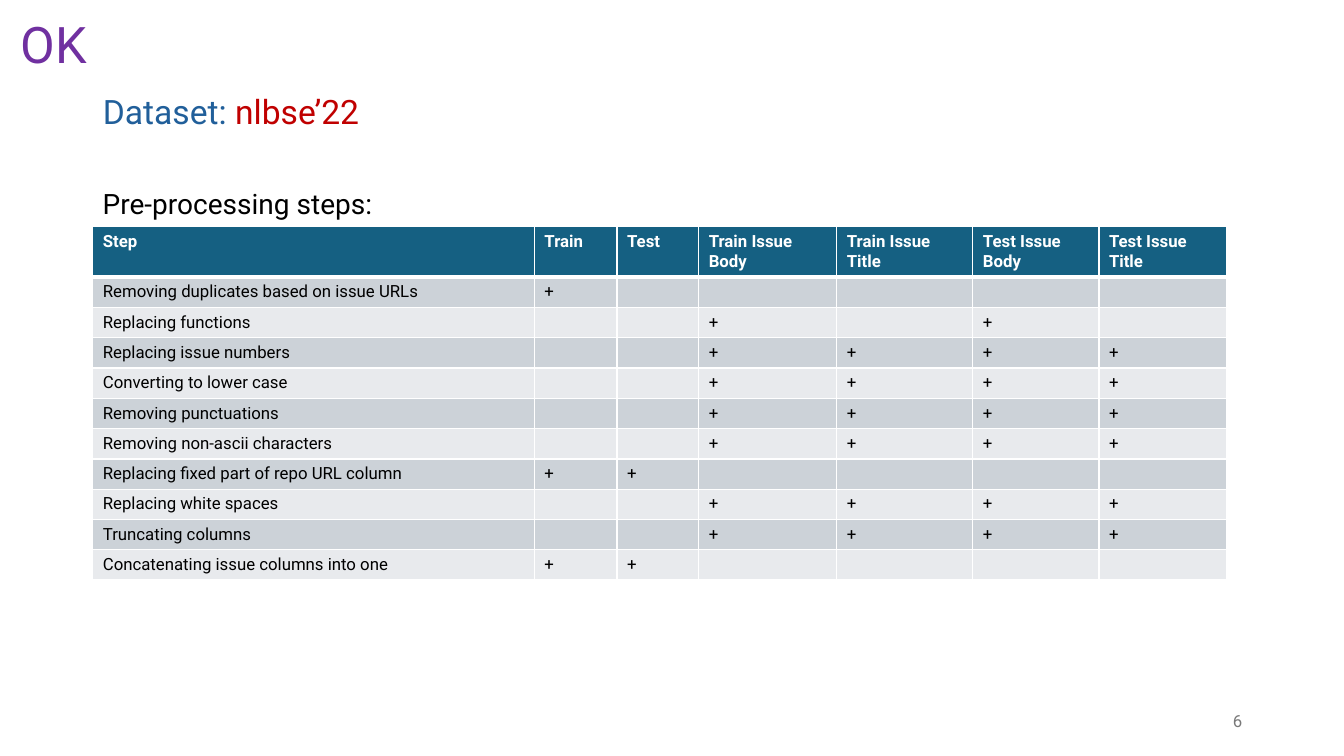
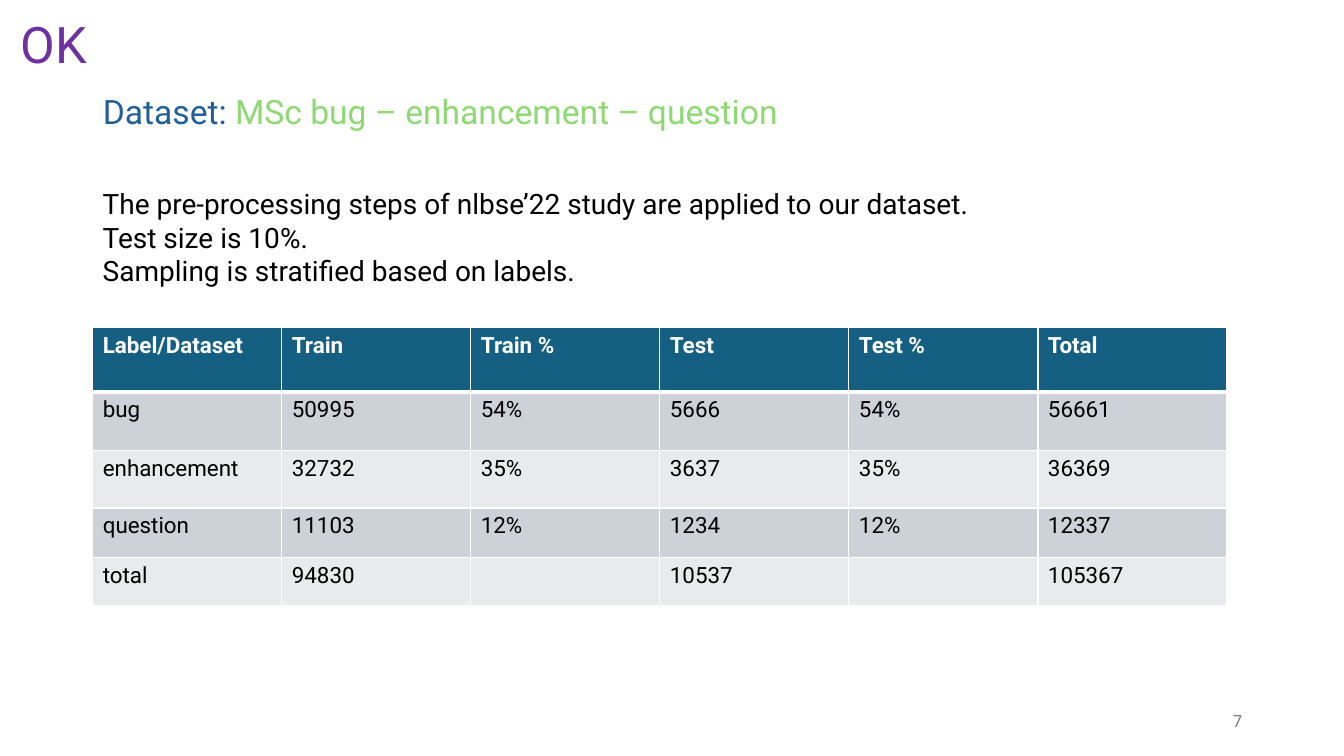
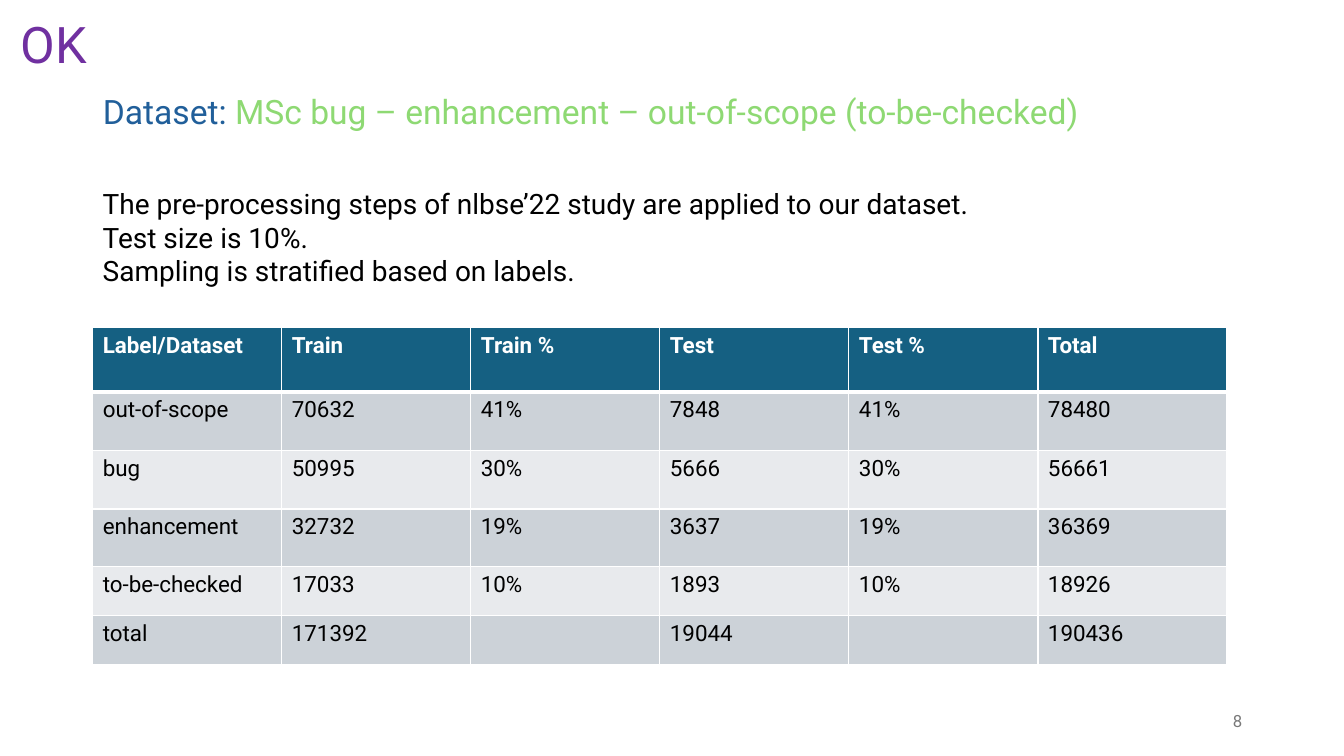
from dataclasses import dataclass

from lxml import etree
from pptx import Presentation
from pptx import util as u
from pptx.dml.color import RGBColor
from pptx.enum import text
from pptx.oxml.ns import qn

PX = 9144
SLIDE_SIZE = (1333, 750)
FIRST_NUMBER = 6


@dataclass(frozen=True)
class Theme:
    font: str = "Roboto"
    ink: str = "000000"
    white: str = "FFFFFF"
    title: str = "215F9A"
    red: str = "C00000"
    green: str = "8ED973"
    status: str = "7030A0"
    number: str = "797979"
    header: str = "156082"
    bands: tuple = ("CCD2D8", "E8EAED")
    status_size: int = 36
    title_size: int = 24
    body_size: int = 20
    number_size: int = 12
    thin: int = 1
    thick: int = 3


THEME = Theme()

TITLE_BOX = (92, 40, 1241, 145)
STATUS_BOX = (11, 8, 213, 71)
NUMBER_BOX = (942, 695, 300, 40)
BODY_LEFT, BODY_TOP, BODY_WIDTH = 92, 180, 1150
TABLE_LEFT, TABLE_WIDTH = 92, 1125

BOTH = ("+", "+", "", "", "", "")
ISSUES = ("", "", "+", "+", "+", "+")
STEPS = [
    ("Step", "Train", "Test", "Train Issue Body", "Train Issue Title",
     "Test Issue Body", "Test Issue Title"),
    ("Removing duplicates based on issue URLs", "+", "", "", "", "", ""),
    ("Replacing functions", "", "", "+", "", "+", ""),
    ("Replacing issue numbers", *ISSUES),
    ("Converting to lower case", *ISSUES),
    ("Removing punctuations", *ISSUES),
    ("Removing non-ascii characters", *ISSUES),
    ("Replacing fixed part of repo URL column", *BOTH),
    ("Replacing white spaces", *ISSUES),
    ("Truncating columns", *ISSUES),
    ("Concatenating issue columns into one", *BOTH),
]
COUNT_HEADER = ("Label/Dataset", "Train", "Train %", "Test", "Test %", "Total")
SAMPLING = [
    "The pre-processing steps of nlbse’22 study are applied to our dataset.",
    "Test size is 10%.",
    "Sampling is stratified based on labels.",
]

SLIDES = [
    {
        "dataset": "nlbse’22",
        "color": THEME.red,
        "body": ["Pre-processing steps:"],
        "body_height": 175,
        "table_top": 225,
        "size": 12,
        "columns": [438, 82, 81, 137, 135, 125, 127],
        "heights": [49] + [30] * 10,
        "rows": STEPS,
    },
    {
        "dataset": "MSc bug – enhancement – question",
        "color": THEME.green,
        "body": SAMPLING,
        "body_height": 209,
        "table_top": 325,
        "size": 16,
        "columns": [TABLE_WIDTH / 6] * 6,
        "heights": [64, 58, 57, 49, 48],
        "rows": [
            COUNT_HEADER,
            ("bug", "50995", "54%", "5666", "54%", "56661"),
            ("enhancement", "32732", "35%", "3637", "35%", "36369"),
            ("question", "11103", "12%", "1234", "12%", "12337"),
            ("total", "94830", "", "10537", "", "105367"),
        ],
    },
    {
        "dataset": "MSc bug – enhancement – out-of-scope (to-be-checked)",
        "color": THEME.green,
        "body": SAMPLING,
        "body_height": 209,
        "table_top": 325,
        "size": 16,
        "columns": [TABLE_WIDTH / 6] * 6,
        "heights": [64, 58, 58, 57, 49, 48],
        "rows": [
            COUNT_HEADER,
            ("out-of-scope", "70632", "41%", "7848", "41%", "78480"),
            ("bug", "50995", "30%", "5666", "30%", "56661"),
            ("enhancement", "32732", "19%", "3637", "19%", "36369"),
            ("to-be-checked", "17033", "10%", "1893", "10%", "18926"),
            ("total", "171392", "", "19044", "", "190436"),
        ],
    },
]


def px(value):
    return u.Emu(round(value * PX))


def style(font, size, color, bold=False):
    font.name = THEME.font
    font.size = u.Pt(size)
    font.bold = bold
    font.color.rgb = RGBColor.from_string(color)


def add_text(slide, box, lines, size, color):
    shape = slide.shapes.add_textbox(*map(px, box))
    frame = shape.text_frame
    frame.word_wrap = True
    frame.text = "\n".join(lines)
    for paragraph in frame.paragraphs:
        style(paragraph.font, size, color)
    return frame


def set_title(slide, dataset, color):
    title = slide.shapes.title
    title.left, title.top, title.width, title.height = map(px, TITLE_BOX)
    frame = title.text_frame
    frame.auto_size = text.MSO_AUTO_SIZE.NONE
    frame.vertical_anchor = text.MSO_ANCHOR.MIDDLE
    paragraph = frame.paragraphs[0]
    paragraph.alignment = text.PP_ALIGN.LEFT
    paragraph.line_spacing = 0.9
    for words, tint in (("Dataset: ", THEME.title), (dataset, color)):
        run = paragraph.add_run()
        run.text = words
        style(run.font, THEME.title_size, tint)


def add_number(slide, number):
    frame = add_text(slide, NUMBER_BOX, [str(number)], THEME.number_size, THEME.number)
    frame.vertical_anchor = text.MSO_ANCHOR.MIDDLE
    paragraph = frame.paragraphs[0]
    paragraph.alignment = text.PP_ALIGN.RIGHT
    run = paragraph.runs[0]
    style(run.font, THEME.number_size, THEME.number)
    run._r.tag = qn("a:fld")
    run._r.set("id", "{B6F15528-21DE-4FAA-801E-634DDDAF4B2B}")
    run._r.set("type", "slidenum")


def set_borders(cell, row_index):
    properties = cell._tc.get_or_add_tcPr()
    heavy = {"B": row_index == 0, "T": row_index == 1}
    for side in "LRTB":
        width = THEME.thick if heavy.get(side) else THEME.thin
        line = etree.SubElement(properties, qn(f"a:ln{side}"), w=str(u.Pt(width)))
        fill = etree.SubElement(line, qn("a:solidFill"))
        etree.SubElement(fill, qn("a:srgbClr"), val=THEME.white)


def fill_cell(cell, words, row_index, size):
    is_header = row_index == 0
    set_borders(cell, row_index)
    cell.fill.solid()
    background = THEME.header if is_header else THEME.bands[(row_index - 1) % 2]
    cell.fill.fore_color.rgb = RGBColor.from_string(background)
    cell.text = words
    paragraph = cell.text_frame.paragraphs[0]
    style(paragraph.font, size, THEME.white if is_header else THEME.ink, is_header)
    if not words:
        etree.SubElement(paragraph._p, qn("a:endParaRPr"), sz=str(size * 100))


def add_grid(slide, content):
    rows, columns, heights = content["rows"], content["columns"], content["heights"]
    box = (TABLE_LEFT, content["table_top"], TABLE_WIDTH, sum(heights))
    table = slide.shapes.add_table(len(rows), len(columns), *map(px, box)).table
    for column, width in zip(table.columns, columns):
        column.width = px(width)
    for row_index, (row, values) in enumerate(zip(table.rows, rows)):
        row.height = px(heights[row_index])
        for cell, words in zip(row.cells, values):
            fill_cell(cell, words, row_index, content["size"])


def build_slide(presentation, number, content):
    slide = presentation.slides.add_slide(presentation.slide_layouts[5])
    set_title(slide, content["dataset"], content["color"])
    body_box = (BODY_LEFT, BODY_TOP, BODY_WIDTH, content["body_height"])
    add_text(slide, body_box, content["body"], THEME.body_size, THEME.ink)
    add_grid(slide, content)
    add_text(slide, STATUS_BOX, ["OK"], THEME.status_size, THEME.status)
    add_number(slide, number)


def main():
    presentation = Presentation()
    presentation.slide_width, presentation.slide_height = map(px, SLIDE_SIZE)
    presentation.element.set("firstSlideNum", str(FIRST_NUMBER))
    for number, content in enumerate(SLIDES, FIRST_NUMBER):
        build_slide(presentation, number, content)
    presentation.save("out.pptx")


if __name__ == "__main__":
    main()
